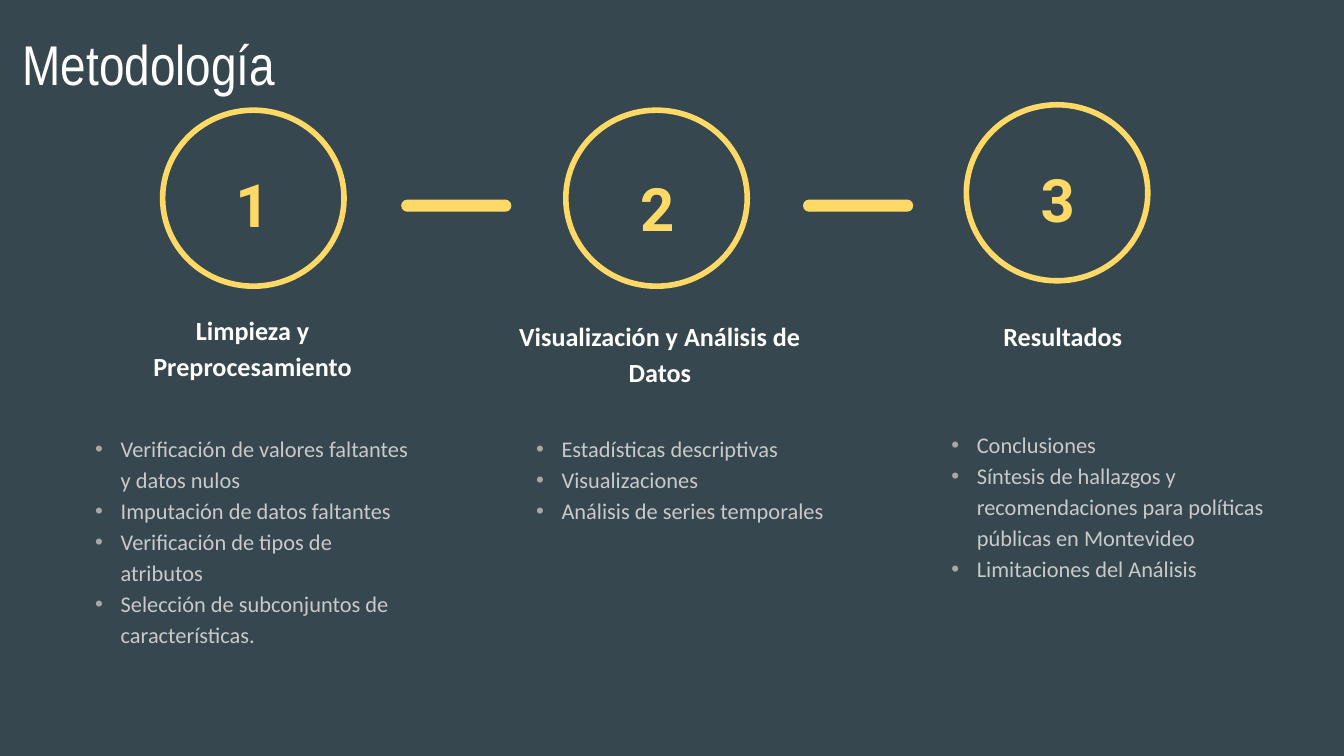
"""Build the three-step methodology slide."""
from dataclasses import dataclass

from lxml.etree import SubElement
from pptx import Presentation
from pptx.dml.color import RGBColor
from pptx.enum.shapes import MSO_SHAPE as Preset
from pptx.enum.text import MSO_ANCHOR as Anchor, PP_ALIGN as Align
from pptx.oxml.ns import qn
from pptx.shapes.autoshape import Shape
from pptx.slide import Slide
from pptx.util import Inches, Pt


@dataclass(frozen=True)
class TextStyle:
    font: str
    size: int
    color: str
    bold: bool = False
    align: Align = Align.LEFT
    spacing: float = 1.15
    after: int = 0
    bullet: str = ""


@dataclass(frozen=True)
class Theme:
    background: str = "37474F"
    accent: str = "FFD966"
    title: TextStyle = TextStyle("Arial Narrow", 30, "FFFFFF", spacing=1.0)
    number: TextStyle = TextStyle("Roboto", 32, "FFD966", True, Align.CENTER, after=16)
    heading: TextStyle = TextStyle("Calibri", 14, "FFFFFF", True, Align.CENTER)
    body: TextStyle = TextStyle("Calibri", 12, "C9C9C9", bullet="A8A8A8")


@dataclass(frozen=True)
class Box:
    left: float
    top: float
    width: float
    height: float

    def lengths(self) -> tuple[Inches, Inches, Inches, Inches]:
        return Inches(self.left), Inches(self.top), Inches(self.width), Inches(self.height)


@dataclass(frozen=True)
class Step:
    circle: Box
    number: Box
    heading: str
    heading_box: Box
    heading_anchor: Anchor
    items: tuple[str, ...]
    items_box: Box


THEME = Theme()
SLIDE_WIDTH = 10
SLIDE_HEIGHT = SLIDE_WIDTH * 9 / 16
STEPS = (
    Step(
        Box(1.21, 0.82, 1.35, 1.31), Box(1.38, 1.12, 1, 0.71),
        "Limpieza y Preprocesamiento", Box(0.91, 2.29, 1.94, 0.56), Anchor.MIDDLE,
        (
            "Verificación de valores faltantes y datos nulos",
            "Imputación de datos faltantes",
            "Verificación de tipos de atributos",
            "Selección de subconjuntos de características.",
        ),
        Box(0.61, 3.11, 2.57, 2.22),
    ),
    Step(
        Box(4.21, 0.82, 1.35, 1.31), Box(4.39, 1.15, 1, 0.71),
        "Visualización y Análisis de Datos", Box(3.76, 2.25, 2.3, 0.74), Anchor.TOP,
        ("Estadísticas descriptivas", "Visualizaciones", "Análisis de series temporales"),
        Box(3.89, 3.11, 2.57, 0.87),
    ),
    Step(
        Box(7.19, 0.78, 1.35, 1.31), Box(7.37, 1.08, 1, 0.71),
        "Resultados ", Box(6.78, 2.25, 2.3, 0.47), Anchor.TOP,
        (
            "Conclusiones",
            "Síntesis de hallazgos y recomendaciones para políticas públicas en Montevideo",
            "Limitaciones del Análisis",
        ),
        Box(6.98, 3.08, 2.57, 1.57),
    ),
)
DASHES = tuple(Box(left, 1.49, 0.81, 0.08) for left in (2.99, 5.98))


def add_bullet(paragraph, color: str) -> None:
    properties = paragraph._p.get_or_add_pPr()
    properties.set("marL", str(Inches(0.19)))
    properties.set("indent", str(-Inches(0.19)))
    bullet_color = SubElement(properties, qn("a:buClr"))
    SubElement(bullet_color, qn("a:srgbClr"), val=color)
    SubElement(properties, qn("a:buFont"), typeface="Arial")
    SubElement(properties, qn("a:buChar"), char="•")


def add_text(slide: Slide, box: Box, lines: tuple[str, ...], style: TextStyle,
             anchor: Anchor = Anchor.TOP) -> None:
    frame = slide.shapes.add_textbox(*box.lengths()).text_frame
    frame.word_wrap = True
    frame.vertical_anchor = anchor
    frame.margin_left = frame.margin_right = Inches(0.1)
    frame.margin_top = frame.margin_bottom = Inches(0.1)
    frame.text = "\n".join(lines)
    for paragraph in frame.paragraphs:
        paragraph.alignment = style.align
        paragraph.line_spacing = style.spacing
        paragraph.space_after = Pt(style.after)
        if style.bullet:
            add_bullet(paragraph, style.bullet)
        font = paragraph.font
        font.name = style.font
        font.size = Pt(style.size)
        font.bold = style.bold
        font.color.rgb = RGBColor.from_string(style.color)


def add_outlined(slide: Slide, preset: Preset, box: Box, line_width: float) -> Shape:
    shape = slide.shapes.add_shape(preset, *box.lengths())
    shape.shadow.inherit = False
    shape.fill.background()
    shape.line.color.rgb = RGBColor.from_string(THEME.accent)
    shape.line.width = Pt(line_width)
    return shape


def add_dash(slide: Slide, box: Box) -> None:
    dash = add_outlined(slide, Preset.ROUNDED_RECTANGLE, box, 0.75)
    dash.adjustments[0] = 0.5
    dash.fill.solid()
    dash.fill.fore_color.rgb = RGBColor.from_string(THEME.accent)


def add_step(slide: Slide, number: int, step: Step) -> None:
    add_outlined(slide, Preset.OVAL, step.circle, 3)
    add_text(slide, step.number, (str(number),), THEME.number, Anchor.MIDDLE)
    add_text(slide, step.heading_box, (step.heading,), THEME.heading, step.heading_anchor)
    add_text(slide, step.items_box, step.items, THEME.body)


def main() -> None:
    presentation = Presentation()
    presentation.slide_width = Inches(SLIDE_WIDTH)
    presentation.slide_height = Inches(SLIDE_HEIGHT)
    slide = presentation.slides.add_slide(presentation.slide_layouts[6])
    slide.background.fill.solid()
    slide.background.fill.fore_color.rgb = RGBColor.from_string(THEME.background)
    add_text(slide, Box(0.07, 0.12, 5.73, 0.63), ("Metodología",), THEME.title)
    for dash in DASHES:
        add_dash(slide, dash)
    for number, step in enumerate(STEPS, start=1):
        add_step(slide, number, step)
    presentation.save("out.pptx")


if __name__ == "__main__":
    main()
